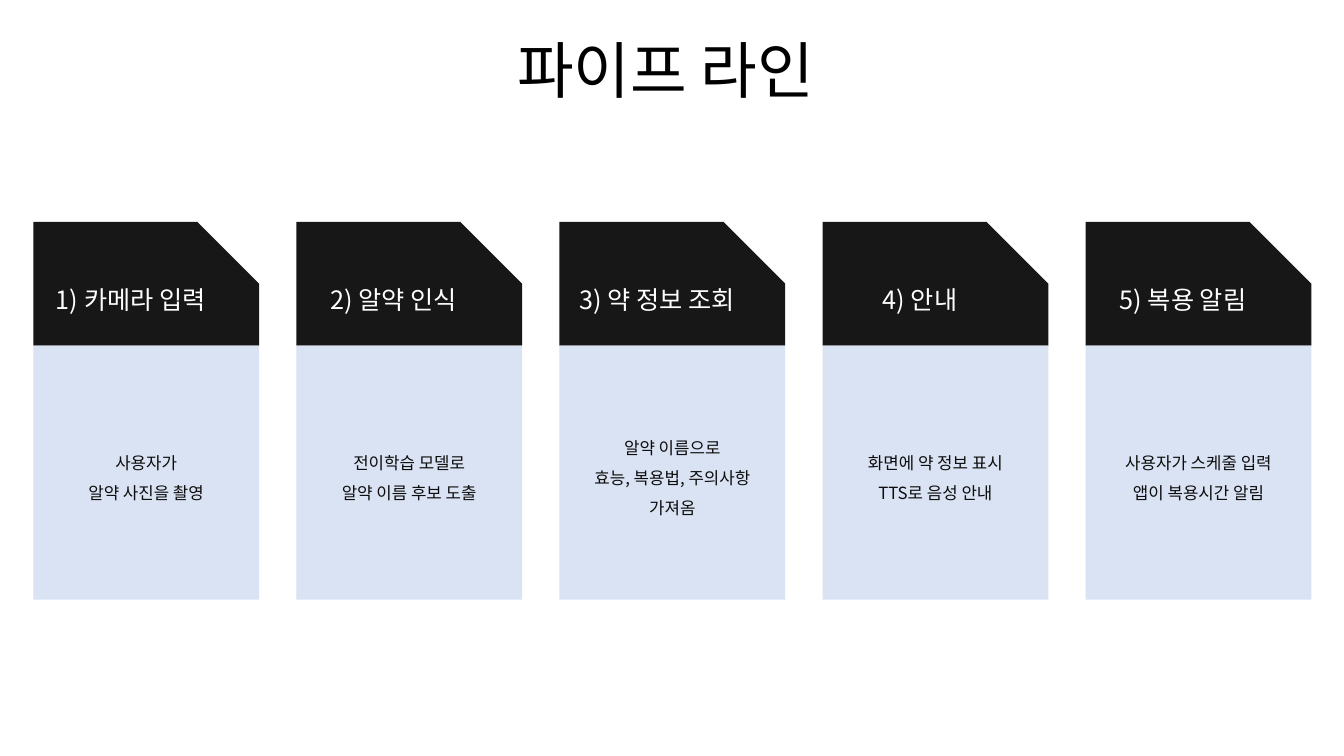
from lxml.etree import SubElement
from pptx import Presentation
from pptx.dml.color import RGBColor
from pptx.enum.shapes import MSO_SHAPE as Shape
from pptx.enum.text import MSO_ANCHOR as Anchor, MSO_AUTO_SIZE as Fit, PP_ALIGN as Align
from pptx.oxml.ns import qn
from pptx.util import Cm, Pt

TITLE = "파이프 라인"
STEPS = [
    ("카메라 입력", ["사용자가", "알약 사진을 촬영"]),
    ("알약 인식", ["전이학습 모델로", "알약 이름 후보 도출"]),
    ("약 정보 조회", ["알약 이름으로", "효능, 복용법, 주의사항", "가져옴"]),
    ("안내", ["화면에 약 정보 표시", "TTS로 음성 안내"]),
    ("복용 알림", ["사용자가 스케줄 입력", "앱이 복용시간 알림"]),
]
FONT = "Noto Sans CJK KR"
COLORS = {"title": "000000", "head": "181717", "label": "FFFFFF",
          "body": "DAE3F3", "text": "0D0D0D"}
LEFT, TOP, WIDTH, PITCH = 0.84, 5.59, 5.69, 6.63
HEAD, BODY = 3.12, 6.4


def color(key):
    return RGBColor.from_string(COLORS[key])


def write(frame, text, size, key, align=None, space=None):
    frame.text = text
    for para in frame.paragraphs:
        para.alignment = align
        para.line_spacing = space
        for run in para.runs:
            font = run.font
            font.size = Pt(size)
            font.color.rgb = color(key)
            font.name = FONT
            SubElement(font._element, qn("a:ea"), typeface=FONT)


def add_card(slide, kind, left, top, height, fill):
    card = slide.shapes.add_shape(kind, Cm(left), Cm(top), Cm(WIDTH), Cm(height))
    card.shadow.inherit = False
    card.fill.solid()
    card.fill.fore_color.rgb = color(fill)
    card.line.fill.background()
    card.text_frame.vertical_anchor = Anchor.MIDDLE
    return card


def main():
    deck = Presentation()
    deck.slide_width, deck.slide_height = Cm(33.87), Cm(19.05)
    slide = deck.slides.add_slide(deck.slide_layouts[6])

    title = slide.shapes.add_textbox(Cm(12.78), Cm(0.69), Cm(8.33), Cm(2.13))
    frame = title.text_frame
    frame.word_wrap = False
    frame.auto_size = Fit.SHAPE_TO_FIT_TEXT
    write(frame, TITLE, 44, "title")

    for i, (name, lines) in enumerate(STEPS):
        left = LEFT + i * PITCH
        head = add_card(slide, Shape.SNIP_1_RECTANGLE, left, TOP, HEAD, "head")
        head.adjustments[0] = 0.5
        write(head.text_frame, f"{i + 1}) {name}", 18, "label", Align.CENTER)
        body = add_card(slide, Shape.RECTANGLE, left, TOP + HEAD, BODY, "body")
        write(body.text_frame, "\n".join(lines), 12, "text", Align.CENTER, 1.5)

    deck.save("out.pptx")


if __name__ == "__main__":
    main()
